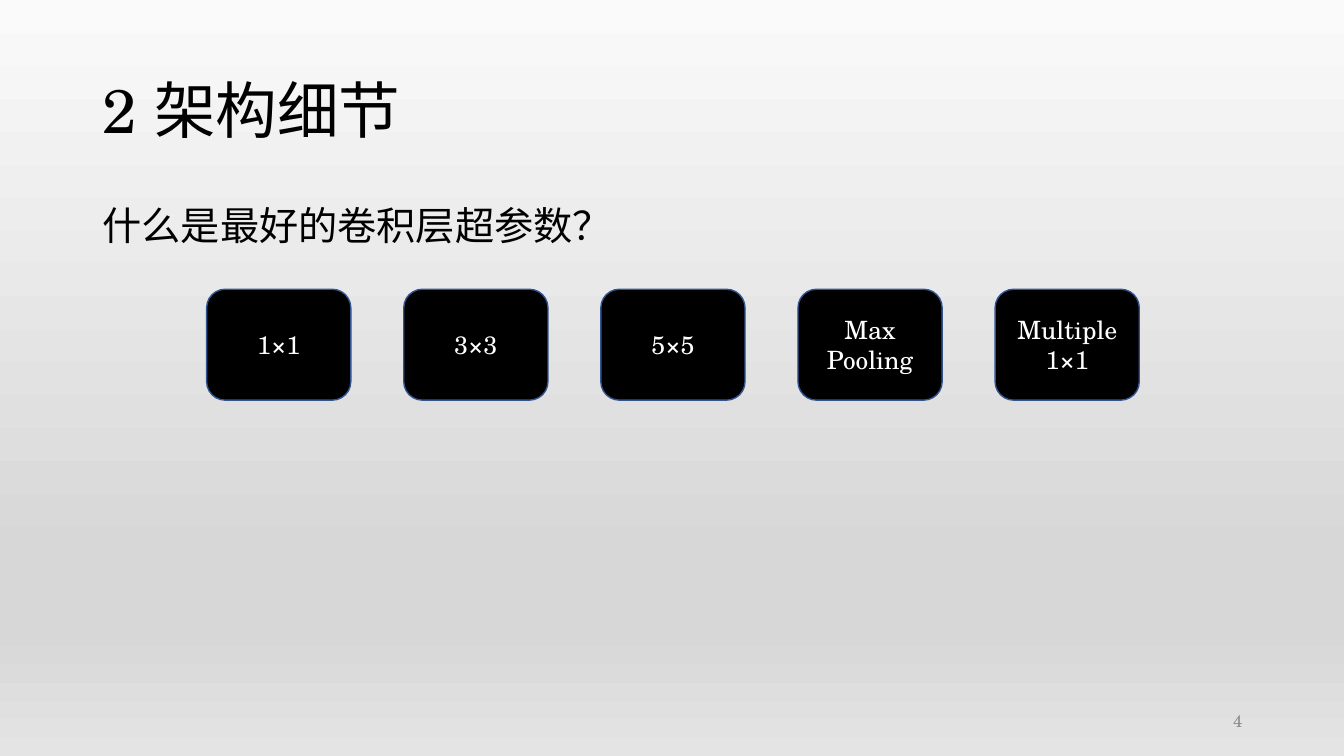
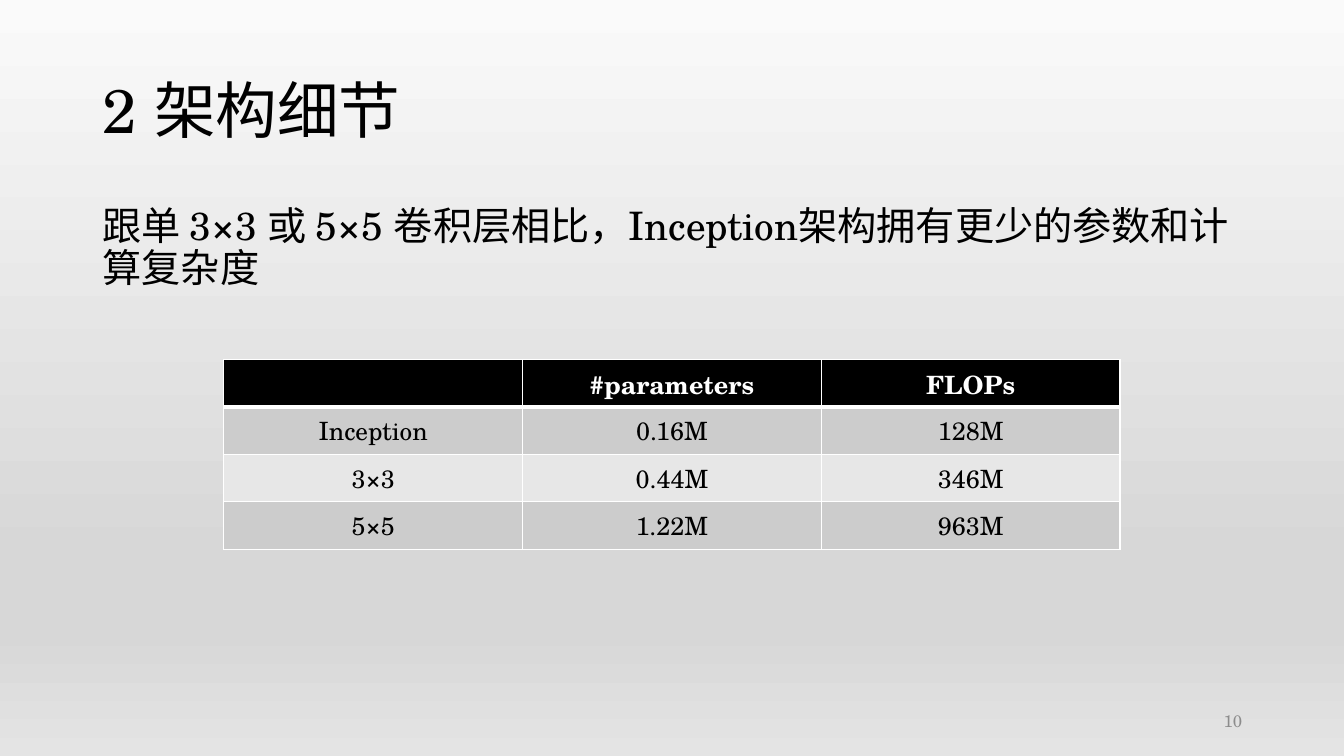
import dataclasses

import lxml.etree
import pptx
import pptx.dml.color
import pptx.enum.shapes
import pptx.enum.text
import pptx.oxml.ns
import pptx.util

Inches = pptx.util.Inches
Pt = pptx.util.Pt
Align = pptx.enum.text.PP_ALIGN
Anchor = pptx.enum.text.MSO_ANCHOR
qn = pptx.oxml.ns.qn


@dataclasses.dataclass(frozen=True)
class Theme:
    font: str = "TeX Gyre Schola"
    # Colours
    ink: str = "000000"
    paper: str = "FFFFFF"
    muted: str = "8C8C8C"
    edge: str = "325491"
    bands: tuple = ("CCCCCC", "E7E7E7")
    stops: tuple = ((0, "FAFAFA"), (74, "D7D7D7"), (83, "D7D7D7"), (100, "E4E4E4"))
    # Type sizes
    title: int = 44
    body: int = 28
    label: int = 18
    note: int = 12


THEME = Theme()

# Regions: left, top, width, height in inches
TITLE = (0.92, 0.4, 11.5, 1.45)
BODY = (0.92, 2, 11.5, 4.76)
NUMBER = (9.42, 6.95, 3, 0.4)
TILES = (2.05, 2.87, 9.25, 1.1)
TABLE = (2.22, 3.57, 8.89, 1.88)


def rgb(code):
    return pptx.dml.color.RGBColor.from_string(code)


def apply(target, values):
    for name, value in values.items():
        setattr(target, name, value)


def write(frame, text, size, color, bold=False, **para):
    """Fill a text frame with one formatted paragraph."""
    line = frame.paragraphs[0]
    apply(line, para)
    run = line.add_run()
    run.text = text
    apply(run.font, {"name": THEME.font, "size": Pt(size), "bold": bold})
    run.font.color.rgb = rgb(color)


def add_text(slide, box, text, size, color, anchor, **para):
    frame = slide.shapes.add_textbox(*map(Inches, box)).text_frame
    apply(frame, {"word_wrap": True, "vertical_anchor": anchor})
    write(frame, text, size, color, **para)


def paint(master):
    """Give every slide the shared grey gradient."""
    fill = master.background.fill
    fill.gradient()
    fill.gradient_angle = 270
    stops = next(master.element.iter(qn("a:gsLst")))
    for old in list(stops):
        stops.remove(old)
    for place, color in THEME.stops:
        stop = lxml.etree.SubElement(stops, qn("a:gs"), pos=str(place * 1000))
        lxml.etree.SubElement(stop, qn("a:srgbClr"), val=color)


def add_slide(deck, title, body, number):
    """Start a slide with its title, body text and number."""
    slide = deck.slides.add_slide(deck.slide_layouts[6])
    add_text(slide, TITLE, title, THEME.title, THEME.ink, Anchor.MIDDLE,
             line_spacing=0.9)
    add_text(slide, BODY, body, THEME.body, THEME.ink, Anchor.TOP,
             line_spacing=0.9, space_before=Pt(10))
    add_text(slide, NUMBER, str(number), THEME.note, THEME.muted, Anchor.MIDDLE,
             alignment=Align.RIGHT)
    return slide


def add_tiles(slide, box, labels, width=1.43):
    """Spread rounded tiles evenly across the box."""
    left, top, span, height = box
    step = (span - width) / (len(labels) - 1)
    for i, label in enumerate(labels):
        tile = slide.shapes.add_shape(
            pptx.enum.shapes.MSO_SHAPE.ROUNDED_RECTANGLE,
            *map(Inches, (left + i * step, top, width, height)))
        tile.shadow.inherit = False
        tile.fill.solid()
        tile.fill.fore_color.rgb = rgb(THEME.ink)
        tile.line.color.rgb = rgb(THEME.edge)
        tile.line.width = Pt(1)
        apply(tile.text_frame, {"word_wrap": True, "vertical_anchor": Anchor.MIDDLE})
        write(tile.text_frame, label, THEME.label, THEME.paper,
              alignment=Align.CENTER)


def add_edges(cell, widths):
    """Draw the cell borders; they must precede the fill."""
    props = cell._tc.get_or_add_tcPr()
    for i, (side, width) in enumerate(widths.items()):
        edge = lxml.etree.Element(qn("a:ln" + side), w=str(Pt(width)))
        fill = lxml.etree.SubElement(edge, qn("a:solidFill"))
        lxml.etree.SubElement(fill, qn("a:srgbClr"), val=THEME.paper)
        props.insert(i, edge)


def add_table(slide, box, rows):
    """Draw a table with a dark header and banded rows."""
    grid = slide.shapes.add_table(len(rows), len(rows[0]), *map(Inches, box)).table
    for r, row in enumerate(rows):
        head = r == 0
        back = THEME.ink if head else THEME.bands[(r - 1) % 2]
        color = THEME.paper if head else THEME.ink
        edges = {"L": 1, "R": 1, "T": 3 if r == 1 else 1, "B": 3 if head else 1}
        for c, text in enumerate(row):
            cell = grid.cell(r, c)
            cell.fill.solid()
            cell.fill.fore_color.rgb = rgb(back)
            add_edges(cell, edges)
            if text:
                write(cell.text_frame, text, THEME.label, color, head,
                      alignment=Align.CENTER)


def main():
    deck = pptx.Presentation()
    apply(deck, {"slide_width": Inches(13.33), "slide_height": Inches(7.5)})
    paint(deck.slide_master)
    title = "2 架构细节"

    # Choice of layers
    slide = add_slide(deck, title, "什么是最好的卷积层超参数？", 4)
    add_tiles(slide, TILES, ["1×1", "3×3", "5×5", "Max Pooling", "Multiple 1×1"])

    # Cost comparison
    slide = add_slide(
        deck, title,
        "跟单 3×3 或 5×5 卷积层相比，Inception架构拥有更少的参数和计算复杂度", 10)
    add_table(slide, TABLE, [
        ["", "#parameters", "FLOPs"],
        ["Inception", "0.16M", "128M"],
        ["3×3", "0.44M", "346M"],
        ["5×5", "1.22M", "963M"],
    ])
    deck.save("out.pptx")


if __name__ == "__main__":
    main()
